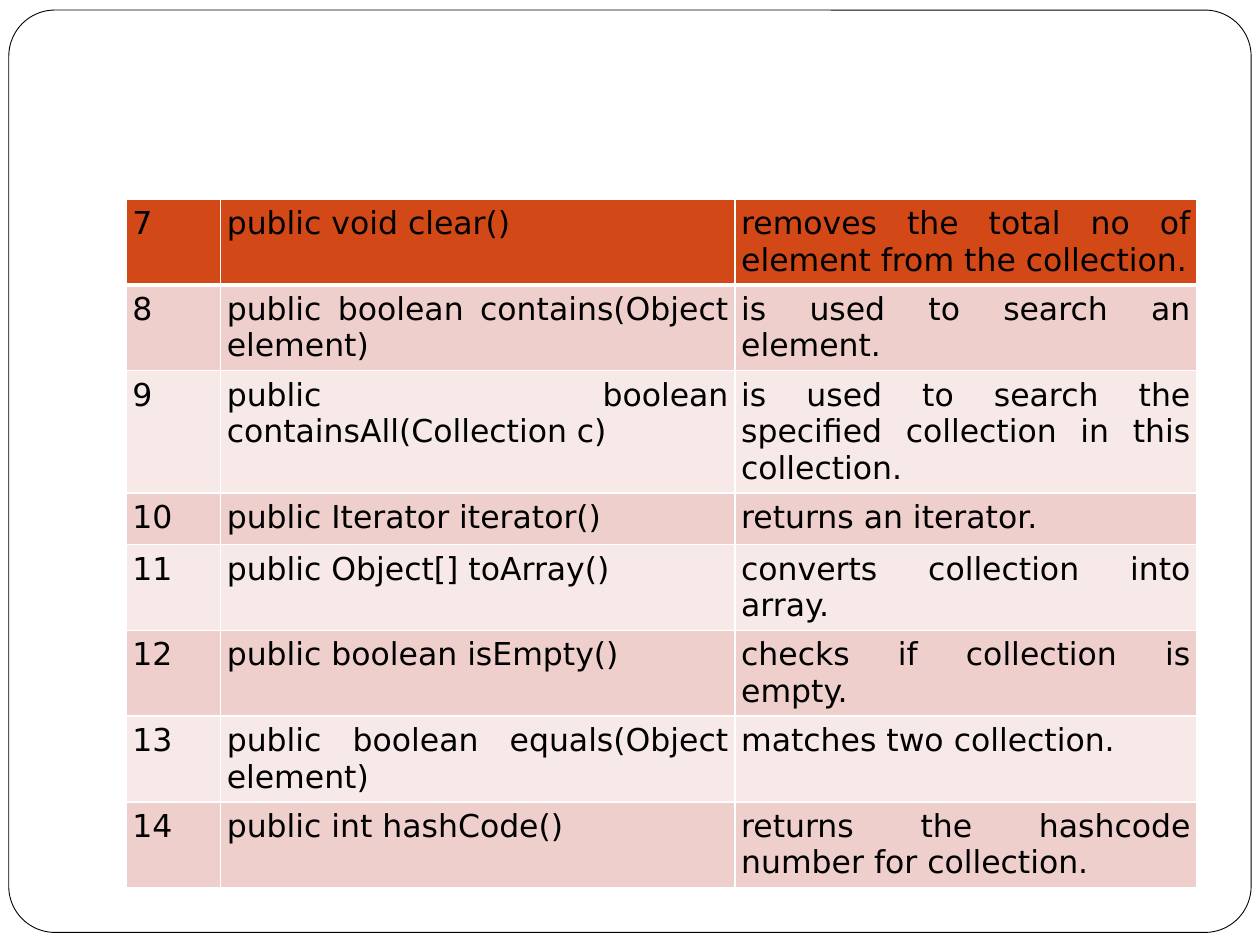
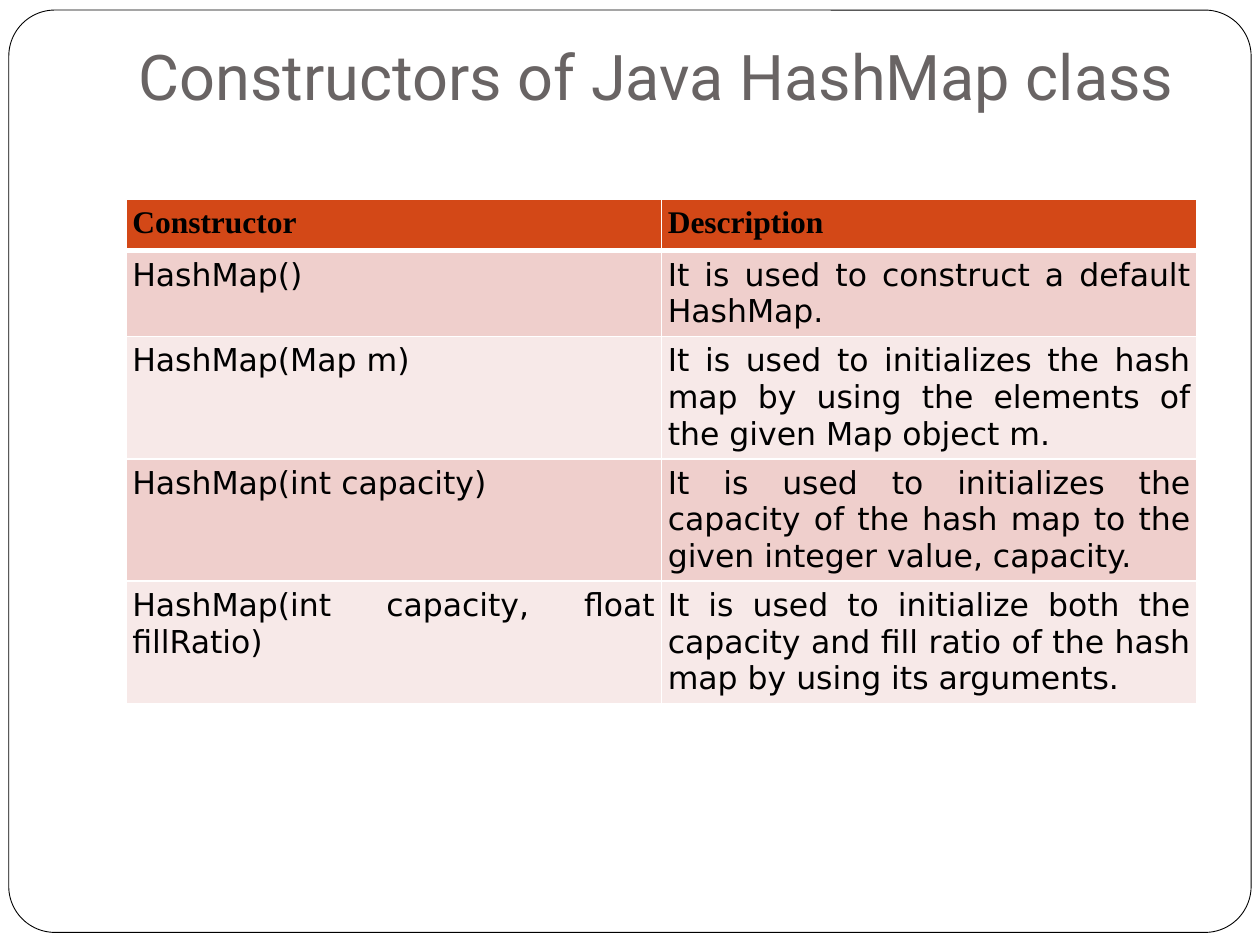
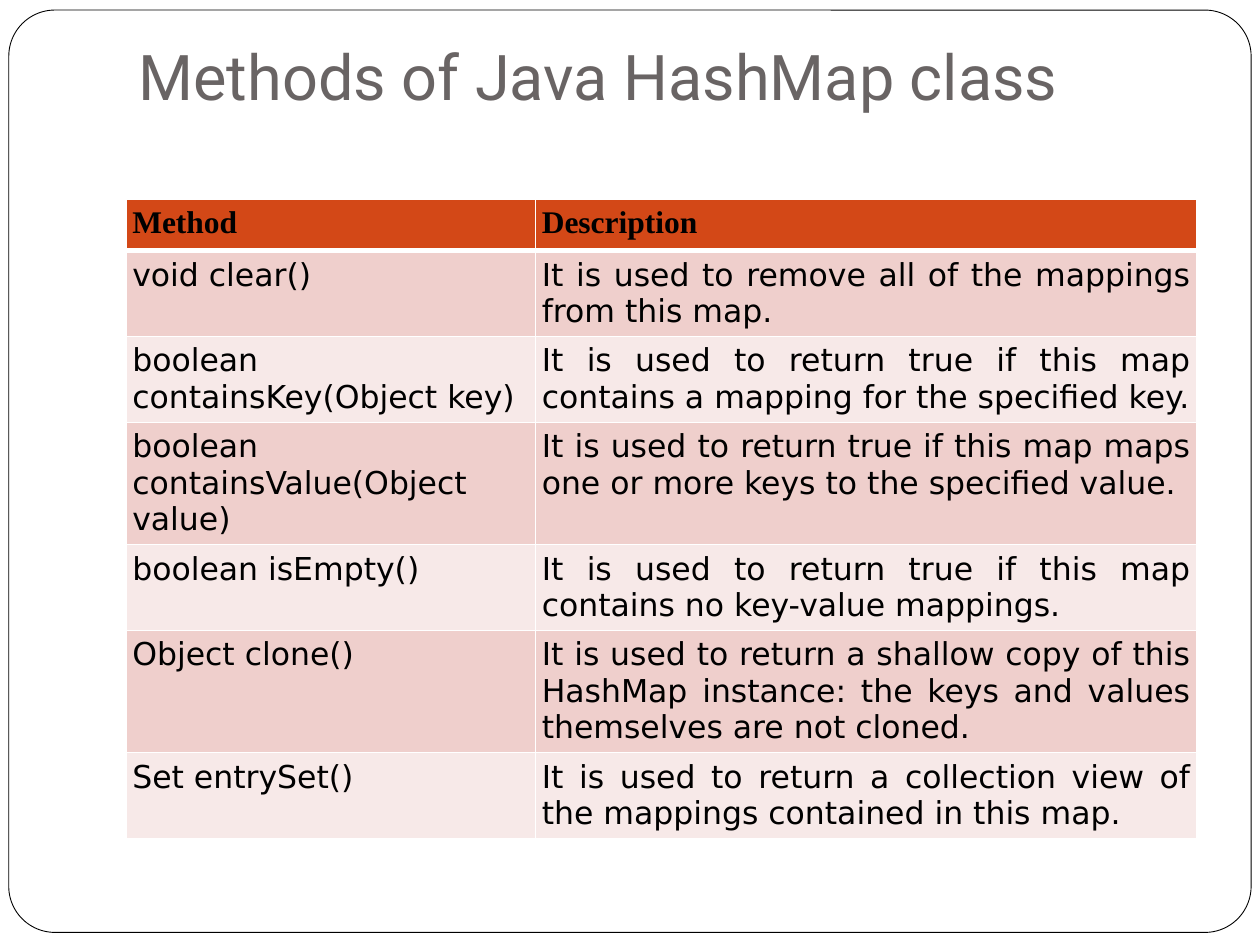
from dataclasses import dataclass

from lxml.etree import SubElement
from pptx import Presentation
from pptx.dml.color import RGBColor
from pptx.enum.shapes import MSO_SHAPE
from pptx.enum.text import MSO_ANCHOR, MSO_AUTO_SIZE, PP_ALIGN
from pptx.oxml.ns import qn
from pptx.presentation import Presentation as Deck
from pptx.slide import Slide
from pptx.table import _Cell
from pptx.util import Inches, Pt

WHITE = RGBColor(0xFF, 0xFF, 0xFF)
BLACK = RGBColor(0x00, 0x00, 0x00)
TITLE_GREY = RGBColor(0x69, 0x64, 0x64)
HEADER_ORANGE = RGBColor(0xD3, 0x48, 0x17)
BAND_COLORS = (RGBColor(0xF7, 0xE9, 0xE8), RGBColor(0xEF, 0xCF, 0xCC))

TITLE_FONT = "Roboto"
HEADING_FONT = "Times New Roman"
BODY_FONT = "DejaVu Sans"

SLIDE_WIDTH = Inches(10)
SLIDE_HEIGHT = Inches(7.5)
GRID = SLIDE_WIDTH // 40
CONTENT_LEFT = 4 * GRID
CONTENT_WIDTH = 34 * GRID
TABLE_TOP = Inches(1.58)
ROW_HEIGHT = Inches(0.41)
CELL_MARGIN = Inches(0.05)
THIN_BORDER = Pt(1)
HEADER_BORDER = Pt(3)

TITLE_ONLY_LAYOUT = 5
BLANK_LAYOUT = 6
FRAME_ID = 100


@dataclass(frozen=True)
class TableSlide:
    title: str
    column_units: tuple[float, ...]
    rows: tuple[tuple[str, ...], ...]


TABLE_SLIDES = (
    TableSlide(
        "",
        (3, 16.33, 14.67),
        (
            ("7", "public void clear()", "removes the total no of element from the collection."),
            ("8", "public boolean contains(Object element)", "is used to search an element."),
            ("9", "public boolean containsAll(Collection c)",
             "is used to search the specified collection in this collection."),
            ("10", "public Iterator iterator()", "returns an iterator."),
            ("11", "public Object[] toArray()", "converts collection into array."),
            ("12", "public boolean isEmpty()", "checks if collection is empty."),
            ("13", "public boolean equals(Object element)", "matches two collection."),
            ("14", "public int hashCode()", "returns the hashcode number for collection."),
        ),
    ),
    TableSlide(
        "Constructors of Java HashMap class",
        (17, 17),
        (
            ("Constructor", "Description"),
            ("HashMap()", "It is used to construct a default HashMap."),
            ("HashMap(Map m)",
             "It is used to initializes the hash map by using the elements of the given Map object m."),
            ("HashMap(int capacity)",
             "It is used to initializes the capacity of the hash map to the given integer value, capacity."),
            ("HashMap(int capacity, float fillRatio)",
             "It is used to initialize both the capacity and fill ratio of the hash map by using its arguments."),
        ),
    ),
    TableSlide(
        "Methods of Java HashMap class",
        (13, 21),
        (
            ("Method", "Description"),
            ("void clear()", "It is used to remove all of the mappings from this map."),
            ("boolean containsKey(Object key)",
             "It is used to return true if this map contains a mapping for the specified key."),
            ("boolean containsValue(Object value)",
             "It is used to return true if this map maps one or more keys to the specified value."),
            ("boolean isEmpty()",
             "It is used to return true if this map contains no key-value mappings."),
            ("Object clone()",
             "It is used to return a shallow copy of this HashMap instance: "
             "the keys and values themselves are not cloned."),
            ("Set entrySet()",
             "It is used to return a collection view of the mappings contained in this map."),
        ),
    ),
)


def move_frame_to_master(presentation: Deck, slide: Slide) -> None:
    frame = slide.shapes.add_shape(
        MSO_SHAPE.ROUNDED_RECTANGLE, Inches(0.07), Inches(0.08), Inches(9.86), Inches(7.32)
    )
    frame.adjustments[0] = 0.05
    frame.shadow.inherit = False
    frame.fill.solid()
    frame.fill.fore_color.rgb = WHITE
    frame.line.color.rgb = BLACK
    frame.line.width = Pt(0.5)
    frame.element.nvSpPr.cNvPr.set("id", str(FRAME_ID))
    presentation.slide_master.shapes.element.insert(2, frame.element)


def write_title(slide: Slide, text: str) -> None:
    title = slide.shapes.title
    title.left, title.top = CONTENT_LEFT, Inches(0.3)
    title.width, title.height = CONTENT_WIDTH, Inches(1.25)
    text_frame = title.text_frame
    text_frame.text = text
    text_frame.word_wrap = True
    text_frame.auto_size = MSO_AUTO_SIZE.NONE
    text_frame.vertical_anchor = MSO_ANCHOR.TOP
    text_frame.margin_left = text_frame.margin_right = Inches(0.1)
    text_frame.margin_top = 0
    paragraph = text_frame.paragraphs[0]
    paragraph.alignment = PP_ALIGN.LEFT
    font = paragraph.runs[0].font
    font.name = TITLE_FONT
    font.size = Pt(36)
    font.color.rgb = TITLE_GREY


def add_borders(cell: _Cell, top: int, bottom: int) -> None:
    properties = cell._tc.get_or_add_tcPr()
    widths = {"a:lnL": THIN_BORDER, "a:lnR": THIN_BORDER, "a:lnT": top, "a:lnB": bottom}
    for tag, width in widths.items():
        line = SubElement(properties, qn(tag), w=str(int(width)))
        fill = SubElement(line, qn("a:solidFill"))
        SubElement(fill, qn("a:srgbClr"), val=str(WHITE))


def write_cell(cell: _Cell, text: str, row: int, is_heading: bool) -> None:
    add_borders(
        cell,
        top=HEADER_BORDER if row == 1 else THIN_BORDER,
        bottom=HEADER_BORDER if row == 0 else THIN_BORDER,
    )
    cell.fill.solid()
    cell.fill.fore_color.rgb = HEADER_ORANGE if row == 0 else BAND_COLORS[row % 2]
    cell.margin_left = cell.margin_right = CELL_MARGIN
    cell.margin_top = cell.margin_bottom = CELL_MARGIN
    cell.text_frame.text = text
    paragraph = cell.text_frame.paragraphs[0]
    paragraph.alignment = PP_ALIGN.LEFT if is_heading else PP_ALIGN.JUSTIFY
    font = paragraph.runs[0].font
    font.name = HEADING_FONT if is_heading else BODY_FONT
    font.size = Pt(18)
    font.bold = is_heading
    font.color.rgb = BLACK


def add_method_table(slide: Slide, content: TableSlide) -> None:
    row_count = len(content.rows)
    table = slide.shapes.add_table(
        row_count, len(content.column_units),
        CONTENT_LEFT, TABLE_TOP, CONTENT_WIDTH, row_count * ROW_HEIGHT,
    ).table
    table.first_row = bool(content.title)
    table.horz_banding = False
    for column, units in zip(table.columns, content.column_units):
        column.width = int(units * GRID)
    for row, texts in enumerate(content.rows):
        for column, text in enumerate(texts):
            write_cell(table.cell(row, column), text, row, table.first_row and row == 0)


def main() -> None:
    presentation = Presentation()
    presentation.slide_width = SLIDE_WIDTH
    presentation.slide_height = SLIDE_HEIGHT
    for content in TABLE_SLIDES:
        layout = TITLE_ONLY_LAYOUT if content.title else BLANK_LAYOUT
        slide = presentation.slides.add_slide(presentation.slide_layouts[layout])
        if content.title:
            write_title(slide, content.title)
        add_method_table(slide, content)
    move_frame_to_master(presentation, presentation.slides[0])
    presentation.save("out.pptx")


if __name__ == "__main__":
    main()
